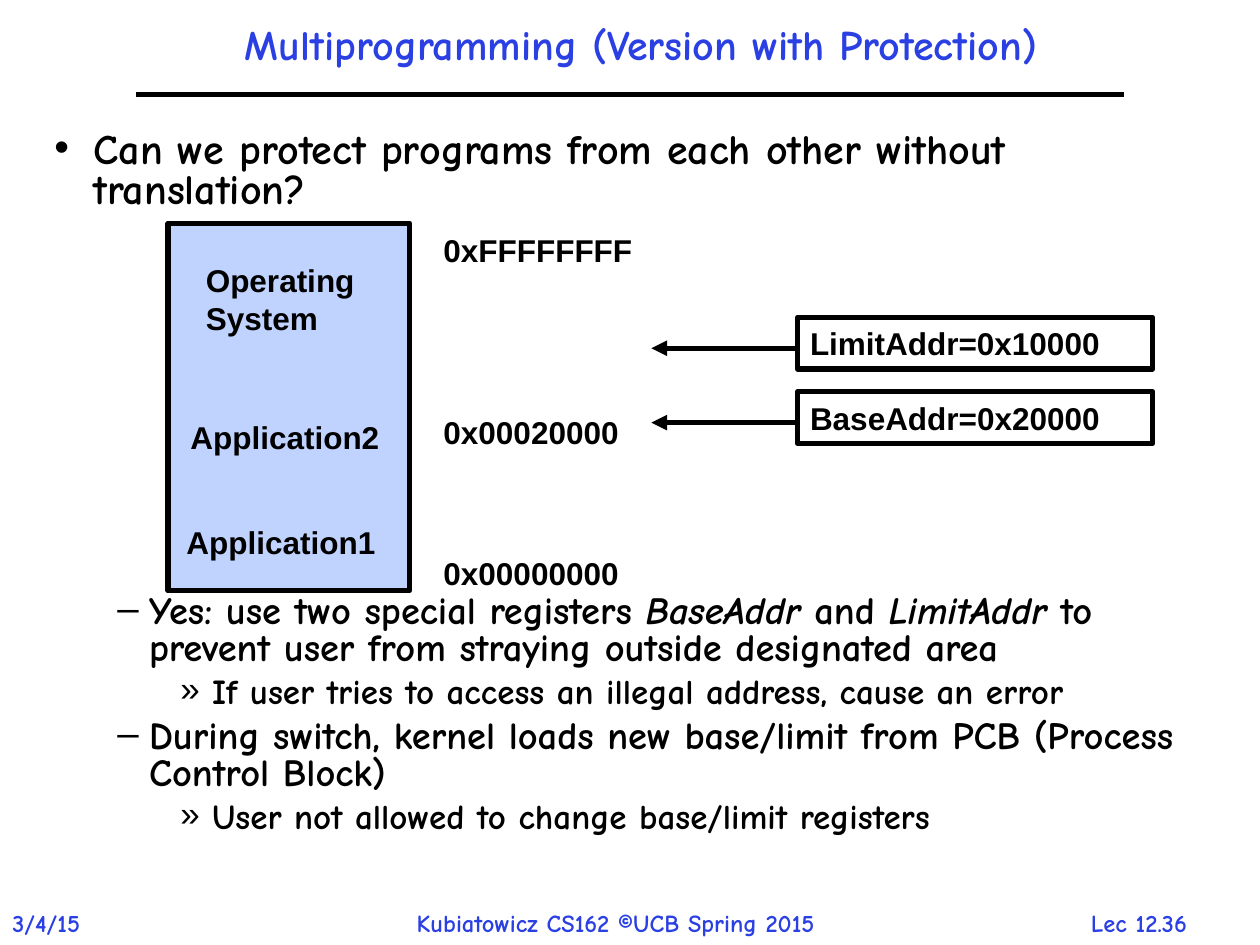
from lxml.etree import SubElement
from pptx import Presentation
from pptx.dml.color import RGBColor
from pptx.enum.shapes import MSO_CONNECTOR as Connector, MSO_SHAPE as Shape
from pptx.enum.text import MSO_ANCHOR as Anchor, MSO_AUTO_SIZE as AutoSize, PP_ALIGN as Align
from pptx.oxml.ns import qn
from pptx.util import Cm, Pt

BLACK, BLUE, PALE_BLUE = "000000", "2A40E2", "C0D2FE"
HAND, SANS = "Comic Neue", "Arial"
LEVELS = [("•", 0.79, 0.79, 24), ("–", 1.91, 0.64, 22), ("»", 3.18, 0.64, 20)]
DIAGRAM_GAP = 218
BULLETS = [
    (0, 0, ["Can we protect programs from each other without translation?"]),
    (1, DIAGRAM_GAP, ["Yes: use two special registers ", "BaseAddr", " and ", "LimitAddr",
                      " to prevent user from straying outside designated area"]),
    (2, 5, ["If user tries to access an illegal address, cause an error"]),
    (1, 5, ["During switch, kernel loads new base/limit from PCB (Process Control Block)"]),
    (2, 5, ["User not allowed to change base/limit registers"]),
]


def color(value):
    return RGBColor.from_string(value)


def format_paragraph(paragraph, size, name, value=BLACK, align=Align.LEFT):
    paragraph.alignment = align
    font = paragraph.font
    font.size, font.name, font.bold = Pt(size), name, True
    font.color.rgb = color(value)


def place(shape, left, top, width, height):
    shape.left, shape.top, shape.width, shape.height = map(Cm, (left, top, width, height))


def add_label(slide, text, left, top, width, height=1.02, size=18, name=SANS, value=BLACK):
    box = slide.shapes.add_textbox(Cm(left), Cm(top), Cm(width), Cm(height))
    frame = box.text_frame
    frame.word_wrap = False
    frame.text = text
    for paragraph in frame.paragraphs:
        format_paragraph(paragraph, size, name, value)


def add_box(slide, left, top, width, height, fill=None):
    shape = slide.shapes.add_shape(Shape.RECTANGLE, Cm(left), Cm(top), Cm(width), Cm(height))
    shape.shadow.inherit = False
    if fill:
        shape.fill.solid()
        shape.fill.fore_color.rgb = color(fill)
    else:
        shape.fill.background()
    shape.line.color.rgb = color(BLACK)
    shape.line.width = Pt(3)
    return shape


def add_line(slide, start, end, top, arrow=False):
    line = slide.shapes.add_connector(Connector.STRAIGHT, Cm(start), Cm(top), Cm(end), Cm(top))
    line.line.color.rgb = color(BLACK)
    line.line.width = Pt(3)
    if arrow:
        SubElement(line.line._get_or_add_ln(), qn("a:tailEnd"), type="triangle")
    SubElement(line._element.spPr, qn("a:effectLst"))


def fill_title(slide, left, top, width, height):
    title = slide.shapes.title
    place(title, left, top, width, height)
    frame = title.text_frame
    frame.text = "Multiprogramming (Version with Protection)"
    frame.auto_size, frame.vertical_anchor = AutoSize.NONE, Anchor.MIDDLE
    paragraph = frame.paragraphs[0]
    paragraph.line_spacing = 0.9
    format_paragraph(paragraph, 24, HAND, BLUE, Align.CENTER)
    add_line(slide, left + 2.11, left + 22.02, top + 1.71)


def fill_body(slide, left, top, width, height):
    body = slide.placeholders[1]
    place(body, left, top, width, height)
    frame = body.text_frame
    frame.auto_size, frame.vertical_anchor = AutoSize.NONE, Anchor.TOP
    for index, (level, gap, parts) in enumerate(BULLETS):
        paragraph = frame.add_paragraph() if index else frame.paragraphs[0]
        bullet, margin, hanging, size = LEVELS[level]
        paragraph.level = level
        properties = paragraph._p.get_or_add_pPr()
        properties.set("marL", str(Cm(margin)))
        properties.set("indent", str(-Cm(hanging)))
        SubElement(properties, qn("a:buChar"), char=bullet)
        paragraph.line_spacing, paragraph.space_before = 0.8, Pt(gap)
        format_paragraph(paragraph, size, HAND)
        for part in parts:
            run = paragraph.add_run()
            run.text = part
            if part in ("BaseAddr", "LimitAddr"):
                run.font.italic = True


def add_memory_map(slide, left, top, width, height):
    add_box(slide, left, top, width, height, PALE_BLUE)
    add_label(slide, "Operating\nSystem", left + 0.51, top + 0.64, 3.53, 1.78)
    add_label(slide, "Application2", left + 0.2, top + 3.81, 4.37)
    add_label(slide, "Application1", left + 0.12, top + 5.92, 4.37)
    for address, offset, label_width in [("0xFFFFFFFF", 0.03, 4.34), ("0x00020000", 3.71, 4.06),
                                         ("0x00000000", 6.55, 4.06)]:
        add_label(slide, address, left + width + 0.43, top + offset, label_width)


def add_register(slide, text, left, top, width, height):
    shape = add_box(slide, left, top, width, height)
    frame = shape.text_frame
    frame.text = text
    frame.word_wrap, frame.vertical_anchor = False, Anchor.MIDDLE
    format_paragraph(frame.paragraphs[0], 18, SANS)
    add_line(slide, left, left - 2.95, top + 0.62, arrow=True)


def add_footer(slide, top, height):
    for text, left, width in [("3/4/15", 0, 2.24),
                              ("Kubiatowicz CS162 ©UCB Spring 2015", 8.15, 9.83),
                              ("Lec 12.36", 21.74, 3.38)]:
        add_label(slide, text, left, top, width, height, 14, HAND, BLUE)


def main():
    presentation = Presentation()
    presentation.slide_width, presentation.slide_height = Cm(25.4), Cm(19.05)
    slide = presentation.slides.add_slide(presentation.slide_layouts[1])
    fill_title(slide, 0.64, 0.2, 24.56, 1.47)
    fill_body(slide, 0.84, 2.54, 24.13, 15.24)
    add_memory_map(slide, 3.39, 4.5, 4.87, 7.41)
    for index, text in enumerate(["LimitAddr=0x10000", "BaseAddr=0x20000"]):
        add_register(slide, text, 16.08, 6.4 + 1.5 * index, 7.16, 1.04)
    add_footer(slide, 18.19, 0.86)
    presentation.save("out.pptx")


if __name__ == "__main__":
    main()
